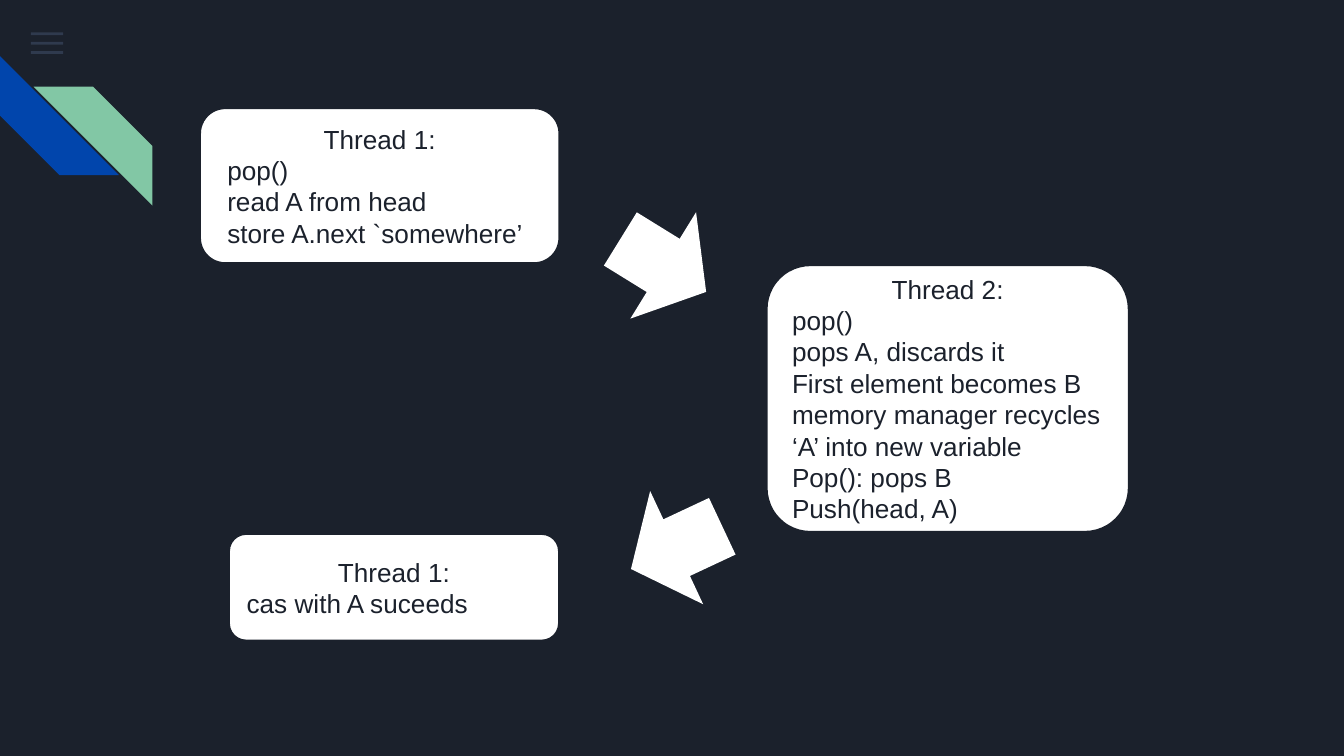
from pptx import Presentation
from pptx.dml.color import RGBColor
from pptx.enum.shapes import MSO_SHAPE
from pptx.enum.text import MSO_ANCHOR, PP_ALIGN
from pptx.oxml.ns import qn
from pptx.util import Pt
from lxml import etree

RECT = MSO_SHAPE.RECTANGLE
ROUND = MSO_SHAPE.ROUNDED_RECTANGLE
STRIPE = MSO_SHAPE.DIAGONAL_STRIPE
ARROW = MSO_SHAPE.DOWN_ARROW
MID = MSO_ANCHOR.MIDDLE
LEFT, CENTER = PP_ALIGN.LEFT, PP_ALIGN.CENTER

COLORS = {"dark": "1B212C", "white": "FFFFFF", "slate": "55688B",
          "blue": "0145AC", "green": "82C7A5"}


def color(name):
    return RGBColor.from_string(COLORS[name])


def write(para, text, size=14, font="Arial", ink="dark", align=LEFT, indent=0):
    if indent:
        props = para._p.get_or_add_pPr()
        props.set("marL", str(Pt(indent)))
        props.set("indent", "0")
    para.alignment = align
    run = para.add_run()
    run.text = text
    run.font.size = Pt(size)
    run.font.name = font
    run.font.color.rgb = color(ink)


class Deck:
    def __init__(self, width, height):
        self.prs = Presentation()
        self.prs.slide_width, self.prs.slide_height = Pt(width), Pt(height)
        self.slide = self.prs.slides.add_slide(self.prs.slide_layouts[6])
        back = self.slide.background.fill
        back.solid()
        back.fore_color.rgb = color("dark")

    def shape(self, kind, left, top, width, height, fill="white", turn=0):
        item = self.slide.shapes.add_shape(
            kind, Pt(left), Pt(top), Pt(width), Pt(height))
        item.shadow.inherit = False
        item.fill.solid()
        item.fill.fore_color.rgb = color(fill)
        item.line.fill.background()
        item.rotation = turn
        return item

    def bar(self, top):
        item = self.shape(RECT, 16.6, top, 17.3, 1.5, fill="slate")
        tint = item._element.spPr.find(".//" + qn("a:srgbClr"))
        etree.SubElement(tint, qn("a:alpha")).set("val", "36000")

    def stripe(self, left, top, fill, turn=0, flip=False):
        item = self.shape(STRIPE, left, top, 63.7, 63.7, fill, turn)
        item.adjustments[0] = 0.5
        if flip:
            item._element.spPr.find(qn("a:xfrm")).set("flipH", "1")

    def arrow(self, left, top, turn):
        self.shape(ARROW, left, top, 67, 54, turn=turn)

    def card(self, left, top, width, height, title, lines, indent=0):
        item = self.shape(ROUND, left, top, width, height)
        item.line.color.rgb = color("dark")
        item.line.width = Pt(2)
        frame = item.text_frame
        frame.word_wrap = True
        frame.vertical_anchor = MID
        write(frame.paragraphs[0], title, align=CENTER)
        for line in lines:
            write(frame.add_paragraph(), line, indent=indent)


def main():
    deck = Deck(720, 405)

    # Menu icon and corner stripes
    for row in range(3):
        deck.bar(17.4 + 5 * row)
    deck.stripe(0, 30.1, "blue", turn=270)
    deck.stripe(18, 46.4, "green", flip=True)

    # Steps of the two threads
    deck.card(106.7, 57.5, 193.5, 84, "Thread 1:",
              ["pop()", "read A from head", "store A.next `somewhere’"],
              indent=3.9)
    deck.card(410.2, 141.6, 195, 143.9, "Thread 2:",
              ["pop()", "pops A, discards it",
               "First element becomes B memory manager recycles "
               "‘A’ into new variable",
               "Pop(): pops B", "Push(head, A)"])
    deck.card(122.2, 285.6, 177.8, 58.1, "Thread 1:", ["cas with A suceeds"])

    # Arrows from step to step
    deck.arrow(321.8, 115.2, 301.7)
    deck.arrow(329, 266.4, 64.9)

    deck.prs.save("out.pptx")


if __name__ == "__main__":
    main()
